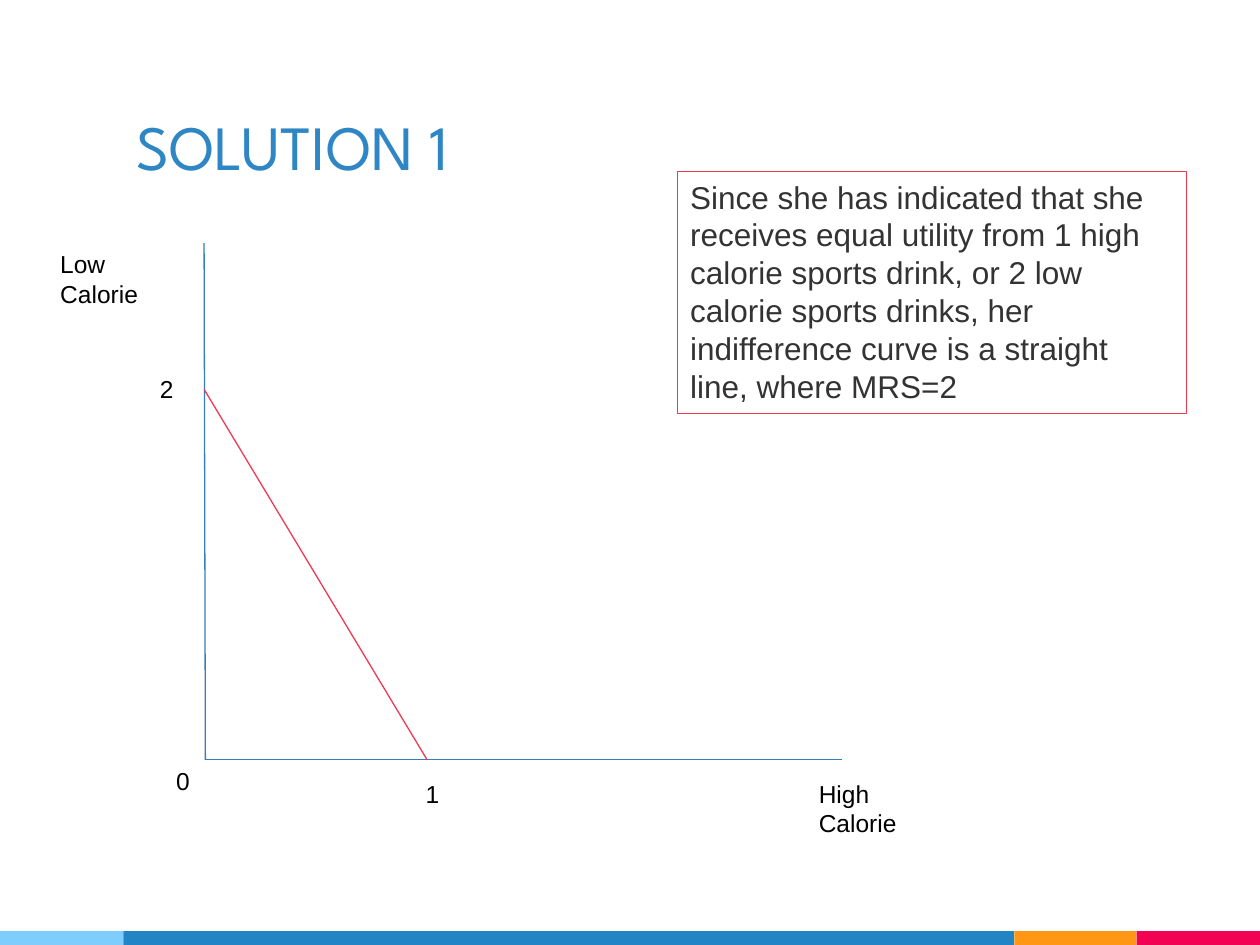
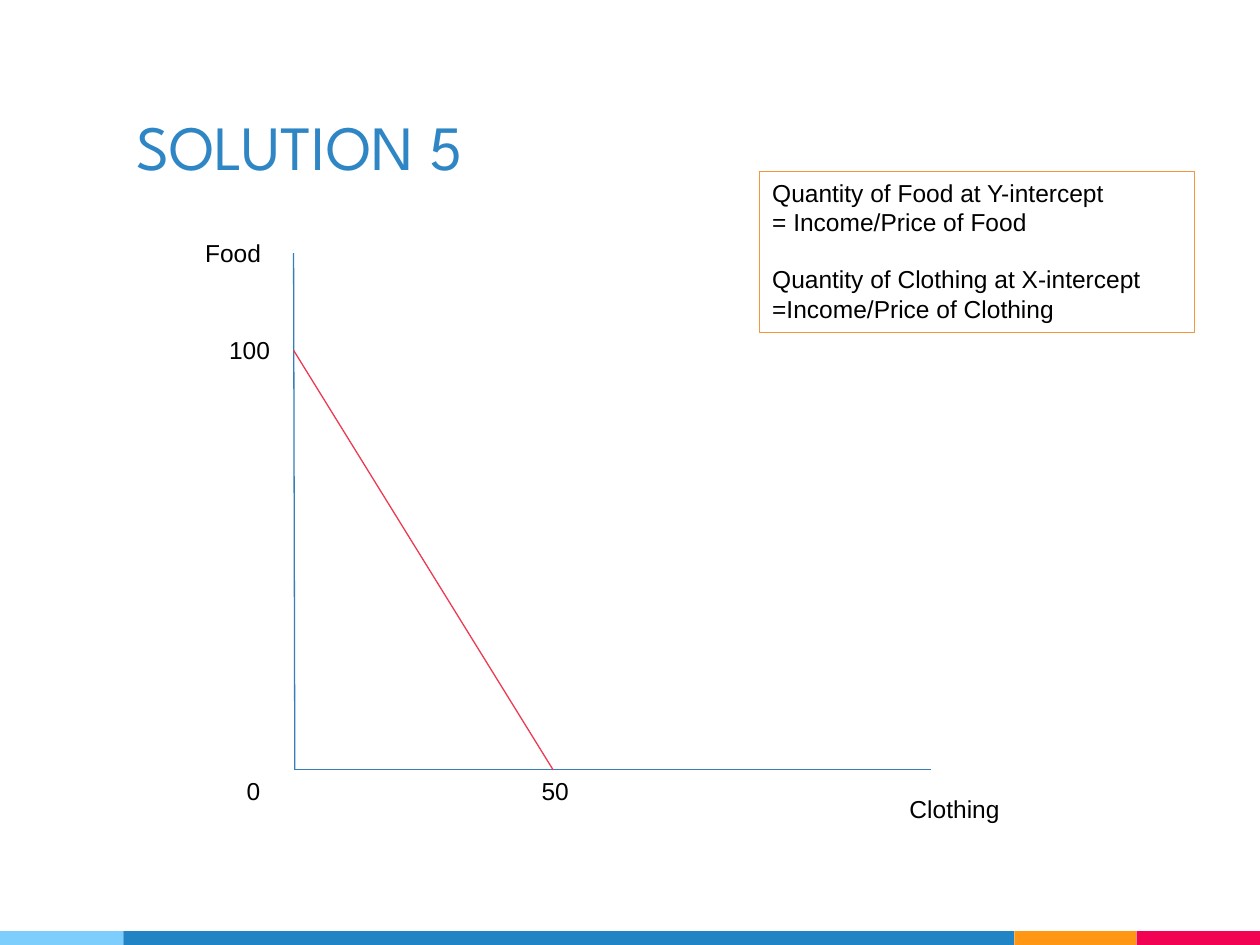
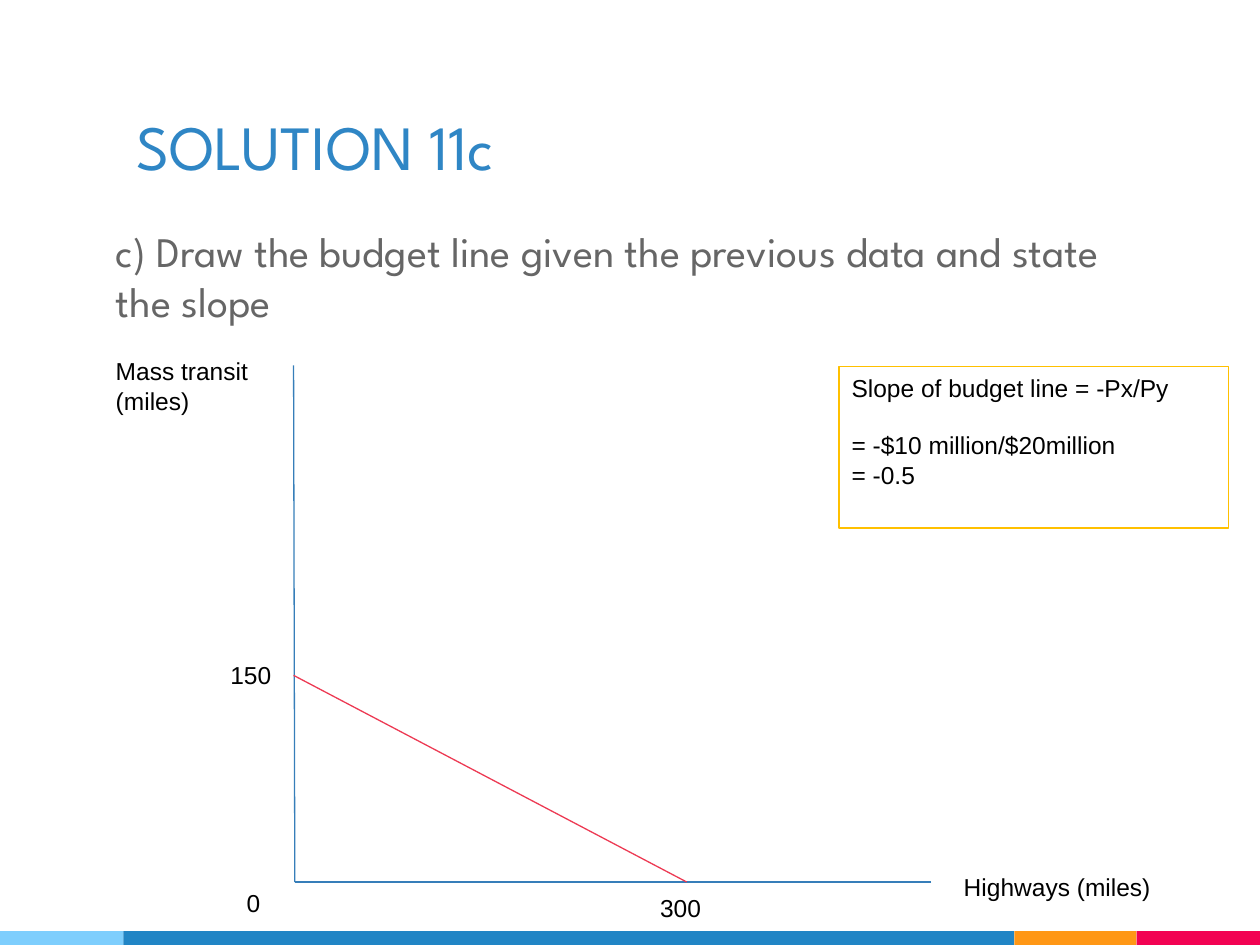
from lxml.etree import SubElement
from pptx import Presentation
from pptx.dml.color import RGBColor
from pptx.enum.shapes import MSO_CONNECTOR as Connector, MSO_SHAPE as Shape
from pptx.enum.text import MSO_ANCHOR as Anchor, PP_ALIGN as Align
from pptx.oxml.ns import qn
from pptx.util import Inches, Pt

COLUMNS, ROWS = 100, 75
COLORS = {
    "title": "2F86C5", "body": "666666", "label": "000000", "note": "333333",
    "axis": "367EB9", "budget": "ED3A53", "orange": "F4963D", "yellow": "FFC000",
}
BANDS = [(9.8, "7ECEFD"), (70.7, "2185C5"), (9.7, "FF9715"), (9.8, "F20253")]
BAND_TOP, BAND_HEIGHT = 73.9, 1.1
AXIS_HEIGHT, AXIS_WIDTH, AXIS_LEAN = 41, 50.5, 0.1
LINE_GAP = 16
TITLE_ONLY, TITLE_AND_BODY = 5, 1


def rgb(name):
    return RGBColor.from_string(COLORS.get(name, name))


class SlideBuilder:
    """Holds the style and the current slide; lengths are grid columns and rows."""

    def __init__(self):
        self.deck = Presentation()
        self.deck.slide_width, self.deck.slide_height = Inches(10), Inches(7.5)
        self.slide = None

    def place(self, left, top, width, height):
        column = self.deck.slide_width / COLUMNS
        row = self.deck.slide_height / ROWS
        return [int(left * column), int(top * row), int(width * column), int(height * row)]

    def add_text(self, shape, paragraphs, size, color, font="Arial", anchor=Anchor.TOP):
        """Fill a shape; a paragraph given as (text, gap) has points of space before it."""
        frame = shape.text_frame
        frame.word_wrap, frame.vertical_anchor = True, anchor
        for number, item in enumerate(paragraphs):
            text, gap = item if isinstance(item, tuple) else (item, 0)
            para = frame.add_paragraph() if number else frame.paragraphs[0]
            para.alignment, para.space_before = Align.LEFT, Pt(gap)
            span = para.add_run()
            span.text = text
            for key, value in {"name": font, "size": Pt(size)}.items():
                setattr(span.font, key, value)
            span.font.color.rgb = rgb(color)

    def placeholder(self, shape, place, text, **style):
        values = zip(("left", "top", "width", "height"), self.place(*place))
        for key, value in values:
            setattr(shape, key, value)
        for side in ("left", "top", "right", "bottom"):
            setattr(shape.text_frame, f"margin_{side}", Inches(0.1))
        self.add_text(shape, [text], font="League Spartan", **style)

    def new_slide(self, title, body=None):
        layout = self.deck.slide_layouts[TITLE_AND_BODY if body else TITLE_ONLY]
        self.slide = self.deck.slides.add_slide(layout)
        self.placeholder(self.slide.shapes.title, (9.8, 3, 70.7, 12.5), title,
                         size=36, color="title", anchor=Anchor.BOTTOM)
        if body:
            holder = self.slide.placeholders[1]
            self.placeholder(holder, (8.2, 16.9, 84.6, 51.8), body, size=24, color="body")
            properties = holder.text_frame.paragraphs[0]._p.get_or_add_pPr()
            for key in ("marL", "indent"):
                properties.set(key, "0")
            SubElement(properties, qn("a:buNone"))

    def rectangle(self, place):
        box = self.slide.shapes.add_shape(Shape.RECTANGLE, *self.place(*place))
        box.shadow.inherit = False
        return box

    def master_bands(self):
        """Draw the footer bands, then move them to the slide master."""
        left = 0
        for number, (width, color) in enumerate(BANDS):
            band = self.rectangle((left, BAND_TOP, width, BAND_HEIGHT))
            band.fill.solid()
            band.fill.fore_color.rgb = rgb(color)
            band.line.fill.background()
            band.element.nvSpPr.cNvPr.id = 100 + number
            self.deck.slide_master.shapes.element.append(band.element)
            left += width

    def line(self, start, end, color):
        ends = self.place(*start, *end)
        connector = self.slide.shapes.add_connector(Connector.STRAIGHT, *ends)
        connector.line.color.rgb = rgb(color)
        connector.line.width = Pt(0.75)
        SubElement(connector.element.spPr, qn("a:effectLst"))

    def axes(self, origin):
        x, y = origin
        self.line((x - AXIS_LEAN, y - AXIS_HEIGHT), origin, "axis")
        self.line((x + AXIS_WIDTH, y), origin, "axis")

    def label(self, text, left, top, width, lines=1):
        height = 1 + 2.35 * lines
        box = self.slide.shapes.add_textbox(*self.place(left, top, width, height))
        self.add_text(box, [text], 14, "label")

    def note(self, place, border, paragraphs, size=14, color="label"):
        box = self.rectangle(place)
        box.fill.background()
        box.line.color.rgb = rgb(border)
        box.line.width = Pt(0.75)
        self.add_text(box, paragraphs, size, color)

    def graph(self, origin, intercepts, labels):
        """Draw axes and a line from the vertical intercept to the horizontal one."""
        x, y = origin
        y_intercept, x_intercept = intercepts
        self.axes(origin)
        self.line((x - AXIS_LEAN, y_intercept), (x_intercept, y), "budget")
        for label in labels:
            self.label(*label)


def main():
    builder = SlideBuilder()

    builder.new_slide("SOLUTION 1")
    builder.master_bands()
    builder.graph((16.3, 60.3), (30.9, 33.9), [
        ("Low Calorie", 3.8, 19.3, 10, 2),
        ("High Calorie", 64, 61.3, 10, 2),
        ("0", 13, 60.3, 4.3),
        ("2", 11.7, 29.2, 3.4),
        ("1", 32.8, 61.3, 3.4),
    ])
    builder.note((53.8, 13.6, 40.4, 19.2), "budget", [
        "Since she has indicated that she receives equal utility from 1 high "
        "calorie sports drink, or 2 low calorie sports drinks, her "
        "indifference curve is a straight line, where MRS=2",
    ], size=18, color="note")

    builder.new_slide("SOLUTION 5")
    builder.graph((23.4, 61.1), (27.8, 43.9), [
        ("Food", 15.3, 18.4, 7),
        ("Clothing", 71.2, 62.5, 11.6),
        ("0", 18.6, 61.1, 4.9),
        ("100", 17.2, 26.1, 6),
        ("50", 42, 61.1, 5.5),
    ])
    builder.note((60.3, 13.6, 34.5, 12.8), "orange", [
        "Quantity of Food at Y-intercept",
        "= Income/Price of Food",
        ("Quantity of Clothing at X-intercept", LINE_GAP),
        "=Income/Price of Clothing",
    ])

    builder.new_slide(
        "SOLUTION 11c",
        "c) Draw the budget line given the previous data and state the slope")
    builder.graph((23.4, 70), (53.6, 54.5), [
        ("0", 18.6, 70, 4.9),
        ("Mass transit (miles)", 8.2, 27.8, 15.2, 2),
        ("Highways (miles)", 75.5, 68.7, 17.2),
        ("300", 51.4, 70.4, 6.1),
        ("150", 17.3, 51.9, 6.2),
    ])
    builder.note((66.6, 29.1, 30.9, 12.8), "yellow", [
        "Slope of budget line = -Px/Py",
        ("= -$10 million/$20million", LINE_GAP),
        "= -0.5",
    ])

    builder.deck.save("out.pptx")


if __name__ == "__main__":
    main()
